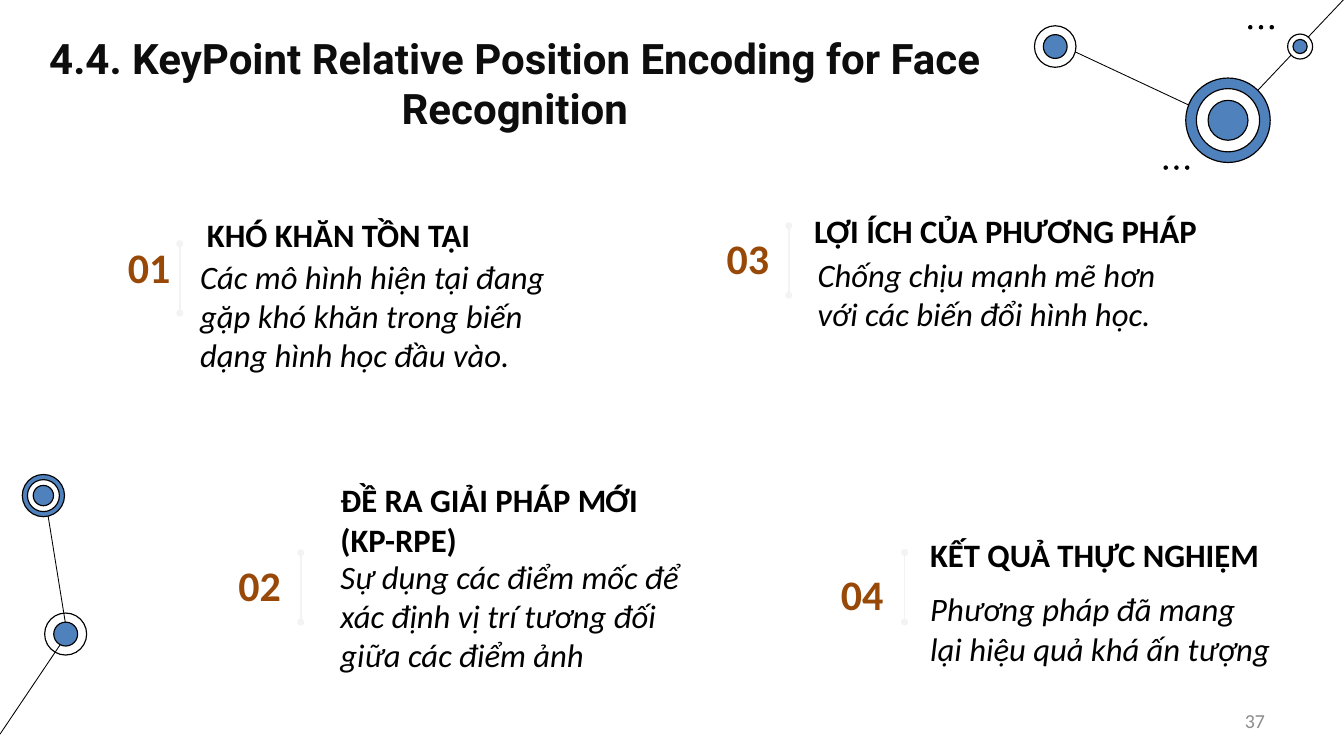
"""Build the KeyPoint Relative Position Encoding overview slide."""
from lxml.etree import SubElement
from pptx import Presentation
from pptx.dml.color import RGBColor
from pptx.enum.shapes import MSO_CONNECTOR as Connector, MSO_SHAPE as Shape
from pptx.enum.text import MSO_ANCHOR as Anchor, MSO_AUTO_SIZE as AutoSize, PP_ALIGN as Align
from pptx.oxml.ns import qn
from pptx.util import Pt

BLACK, WHITE, BLUE, BROWN = "000000", "FFFFFF", "4F81BD", "984807"


def color(value):
    return RGBColor.from_string(value)


class Page:
    def __init__(self, deck):
        self.slide = deck.slides.add_slide(deck.slide_layouts[5])
        self.shapes = self.slide.shapes
        self.font = "Calibri"

    def line(self, x1, y1, x2, y2, hue=BLACK, width=0.75, ends=None):
        line = self.shapes.add_connector(
            Connector.STRAIGHT, Pt(x1), Pt(y1), Pt(x2), Pt(y2))
        line.line.color.rgb = color(hue)
        line.line.width = Pt(width)
        properties = line._element.spPr
        if ends:
            outline = properties.find(qn("a:ln"))
            for tag in ("a:headEnd", "a:tailEnd"):
                SubElement(outline, qn(tag), type=ends)
        SubElement(properties, qn("a:effectLst"))

    def circle(self, x, y, size, fill, outlined=True):
        circle = self.shapes.add_shape(
            Shape.OVAL, Pt(x - size / 2), Pt(y - size / 2), Pt(size), Pt(size))
        circle.shadow.inherit = False
        if fill:
            circle.fill.solid()
            circle.fill.fore_color.rgb = color(fill)
        else:
            circle.fill.background()
        if outlined:
            circle.line.color.rgb = color(BLACK)
            circle.line.width = Pt(1)
        else:
            circle.line.fill.background()

    def rings(self, x, y, *layers):
        for size, fill in layers:
            self.circle(x, y, size, fill)

    def dots(self, x, y):
        for step in range(3):
            self.circle(x + 9.2 * step, y, 3.8, BLACK, outlined=False)

    def fill_text(self, box, text, size, hue, font=None, bold=False, italic=False,
                  align=Align.LEFT, anchor=Anchor.MIDDLE, inset=(9.6, 9.6), after=0):
        frame = box.text_frame
        frame.word_wrap = True
        frame.auto_size = AutoSize.NONE
        frame.vertical_anchor = anchor
        frame.margin_left = frame.margin_right = Pt(inset[0])
        frame.margin_top = frame.margin_bottom = Pt(inset[1])
        para = frame.paragraphs[0]
        para.alignment = align
        para.space_after = Pt(after)
        span = para.add_run()
        span.text = text
        span.font.name = font or self.font
        span.font.size = Pt(size)
        span.font.bold = bold
        span.font.italic = italic
        span.font.color.rgb = color(hue)

    def title(self, text, place):
        box = self.shapes.title
        box.left, box.top, box.width, box.height = map(Pt, place)
        self.fill_text(box, text, 36, "0D0D0D", font="Roboto", bold=True,
                       align=Align.CENTER, anchor=Anchor.TOP)

    def text(self, text, place, size, hue=BLACK, **style):
        box = self.shapes.add_textbox(*map(Pt, place))
        self.fill_text(box, text, size, hue, **style)

    def topic(self, number, number_place, heading, heading_place,
              detail, detail_place, divider):
        x, y = divider
        self.text(heading, heading_place, 28, bold=True)
        self.text(detail, detail_place, 28, italic=True, anchor=Anchor.TOP, after=20.1)
        self.text(number, number_place, 36, BROWN, bold=True, align=Align.RIGHT)
        self.line(x, y, x, y + 59.5, "F3F3F3", 1.5, "oval")


def main():
    deck = Presentation()
    deck.slide_width, deck.slide_height = Pt(1152), Pt(648)
    page = Page(deck)

    page.line(57.6, 543.6, 38.2, 423.4)
    page.line(0, 629.3, 56.2, 545.8)
    page.rings(56.3, 543.5, (36, None), (20.5, BLUE))
    page.rings(37.2, 424.8, (36.2, BLUE), (27.4, WHITE), (17.4, BLUE))

    page.line(1052.6, 105.8, 906.5, 37.4)
    page.line(1152, -0.7, 1052.6, 104.4)
    page.rings(1052.6, 103.1, (72.4, BLUE), (54.2, WHITE), (34.2, BLUE))
    page.rings(904.5, 39.9, (35.6, WHITE), (20.4, BLUE))
    page.rings(1114.4, 39.9, (21.4, WHITE), (12.2, BLUE))
    page.dots(1071.7, 23.4)
    page.dots(999.2, 143.7)

    page.title("4.4. KeyPoint Relative Position Encoding for Face Recognition",
               (-54, 18, 990.7, 79.2))
    page.topic("01", (59.8, 203.8, 95.8, 49),
               "KHÓ KHĂN TỒN TẠI", (167.8, 181.4, 384.5, 39.6),
               "Các mô hình hiện tại đang gặp khó khăn trong biến dạng hình học đầu vào.",
               (162, 210.2, 344.9, 61.2), (154.1, 208.9))
    page.topic("02", (174.2, 480.2, 76.3, 41.8),
               "ĐỀ RA GIẢI PHÁP MỚI (KP-RPE)", (282.2, 425.5, 306, 39.6),
               "Sự dụng các điểm mốc để xác định vị trí tương đối giữa các điểm ảnh",
               (282.2, 467.3, 318.2, 61.2), (257.8, 473.8))
    page.topic("03", (587.5, 195.8, 81.4, 50.4),
               "LỢI ÍCH CỦA PHƯƠNG PHÁP", (688.3, 177.8, 361.4, 39.6),
               "Chống chịu mạnh mẽ hơn với các biến đổi hình học.",
               (691.2, 208.8, 316.8, 61.2), (676.1, 193.5))
    page.topic("04", (686.2, 484.6, 80.6, 49),
               "KẾT QUẢ THỰC NGHIỆM", (787.7, 455, 316.8, 39.6),
               "Phương pháp đã mang lại hiệu quả khá ấn tượng",
               (787.7, 495.4, 310.3, 51.8), (775.4, 473.6))
    page.text("37", (825.8, 600.5, 268.6, 34.6), 17, "8C8C8C",
              align=Align.RIGHT, inset=(10, 5))
    deck.save("out.pptx")


if __name__ == "__main__":
    main()
